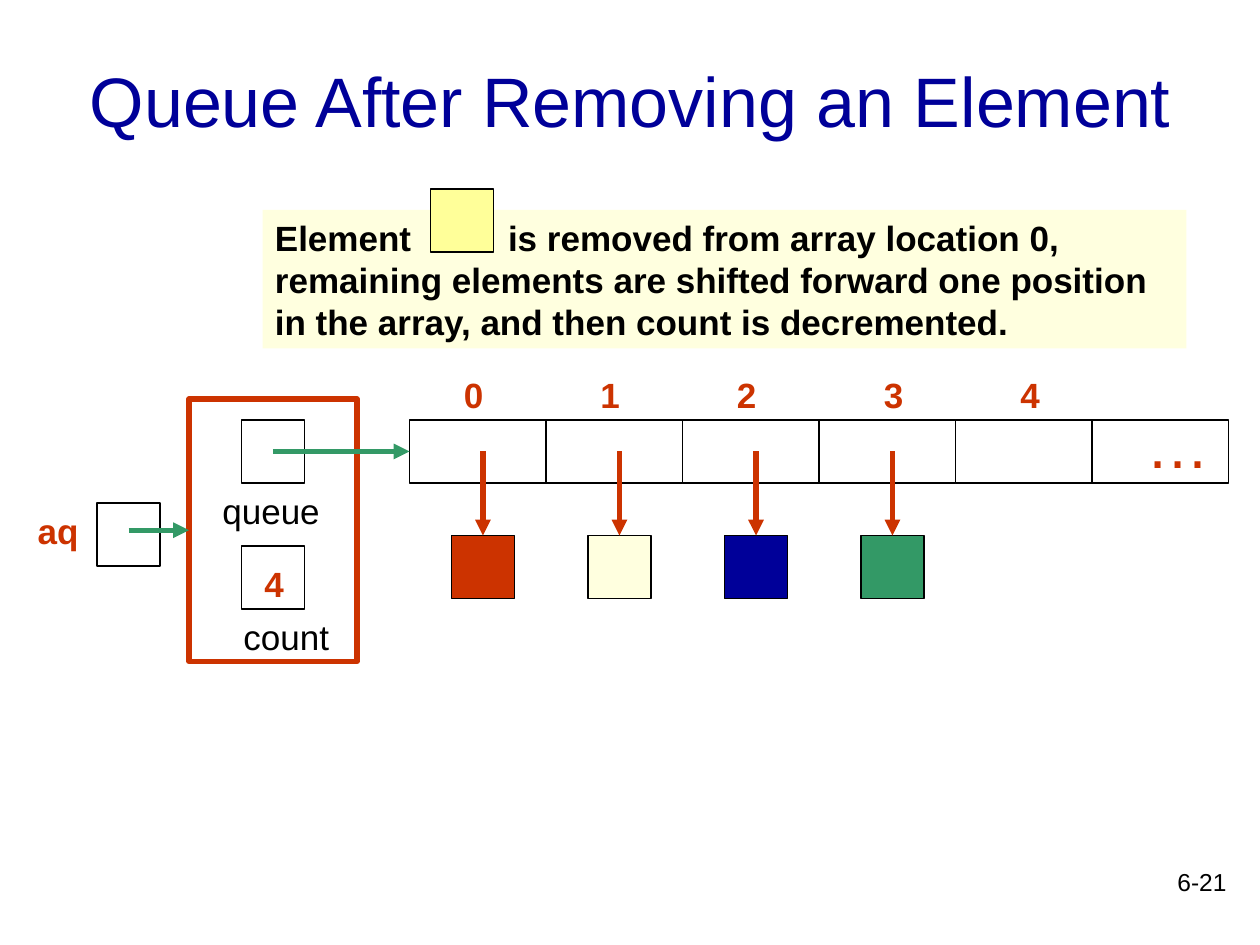
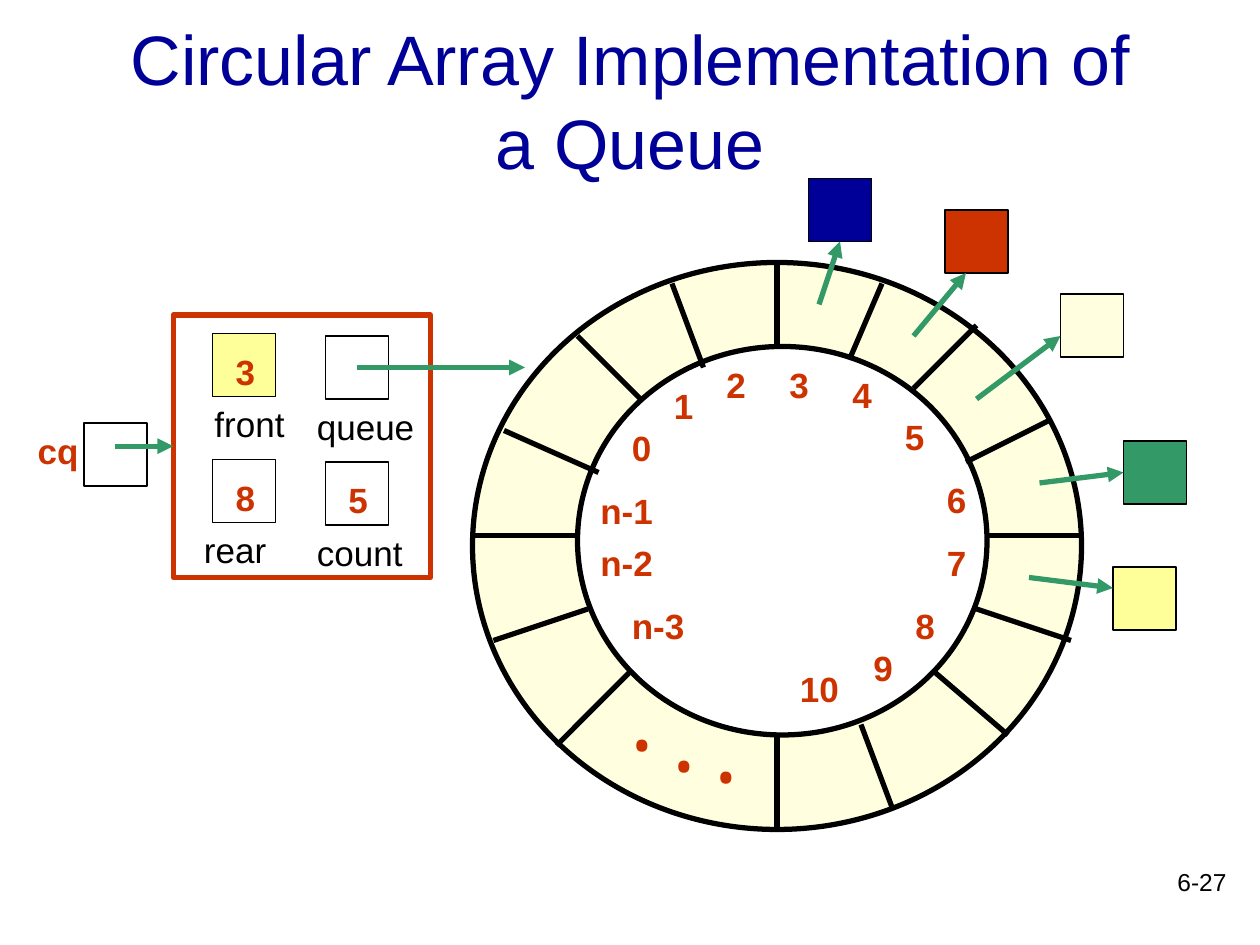
from pptx import Presentation
from pptx.dml.color import RGBColor
from pptx.enum.shapes import MSO_CONNECTOR, MSO_SHAPE
from pptx.enum.text import MSO_ANCHOR, PP_ALIGN
from pptx.oxml.ns import qn
from pptx.util import Emu, Inches, Pt
from lxml.etree import SubElement

BLACK = RGBColor(0x00, 0x00, 0x00)
WHITE = RGBColor(0xFF, 0xFF, 0xFF)
NAVY = RGBColor(0x00, 0x00, 0x99)
RED = RGBColor(0xCC, 0x33, 0x00)
GREEN = RGBColor(0x33, 0x99, 0x66)
CREAM = RGBColor(0xFF, 0xFF, 0xDF)
YELLOW = RGBColor(0xFF, 0xFF, 0x99)

WIDTH, HEIGHT = Inches(10), Inches(7.5)
COLUMNS, ROWS = 120, 90
SQUARE = 6
TOP, LEFT, BOTTOM = 0, 1, 2


def col(x):
    return Emu(round(WIDTH * x / COLUMNS))


def row(y):
    return Emu(round(HEIGHT * y / ROWS))


class Diagram:
    """Holds the shared style and the slide being drawn; lengths are grid cells."""

    font = "Arial"
    thin, thick = Pt(0.75), Pt(3)

    def __init__(self, deck):
        self.deck = deck
        self.slide = None

    def start(self, title, title_x, number):
        self.slide = self.deck.slides.add_slide(self.deck.slide_layouts[6])
        self.text(title, title_x, 2, COLUMNS - 2 * title_x, 15, 40, NAVY,
                  align=PP_ALIGN.CENTER, anchor=MSO_ANCHOR.MIDDLE)
        self.text(number, 93, 82, 25, 6, 14, align=PP_ALIGN.RIGHT)

    def fill_text(self, frame, text, size, color, bold=False, font=None,
                  align=PP_ALIGN.LEFT, anchor=MSO_ANCHOR.TOP):
        frame.word_wrap = True
        frame.vertical_anchor = anchor
        paragraph = frame.paragraphs[0]
        paragraph.alignment = align
        run = paragraph.add_run()
        run.text = text
        run.font.name = font or self.font
        run.font.size = Pt(size)
        run.font.bold = bold
        run.font.color.rgb = color
        return paragraph

    def text(self, text, x, y, w, h=5.2, size=20, color=BLACK, **style):
        box = self.slide.shapes.add_textbox(col(x), row(y), col(w), row(h))
        self.fill_text(box.text_frame, text, size, color, **style)

    def tag(self, text, x, y):
        """Bold red index, value or variable name."""
        self.text(text, x, y, 2.4 + 2.3 * len(text), color=RED, bold=True)

    def shape(self, x, y, w=SQUARE, h=SQUARE, fill=None, line=BLACK,
              weight=None, kind=MSO_SHAPE.RECTANGLE):
        shape = self.slide.shapes.add_shape(kind, col(x), row(y), col(w), row(h))
        shape.shadow.inherit = False
        if fill is None:
            shape.fill.background()
        else:
            shape.fill.solid()
            shape.fill.fore_color.rgb = fill
        if line is None:
            shape.line.fill.background()
        else:
            shape.line.color.rgb = line
            shape.line.width = weight or self.thin
        return shape

    def frame(self, x, y, w, h):
        return self.shape(x, y, w, h, line=RED, weight=self.thick)

    def ring_edge(self, x, y, w, h, fill):
        self.shape(x, y, w, h, fill, weight=self.thick, kind=MSO_SHAPE.OVAL)

    def note(self, text, x, y, w, h, tab):
        """Cream text block whose gap is a tab stop, measured in columns."""
        block = self.shape(x, y, w, h, CREAM, line=None)
        paragraph = self.fill_text(block.text_frame, text, 20, BLACK, bold=True)
        stops = SubElement(paragraph._p.get_or_add_pPr(), qn("a:tabLst"))
        SubElement(stops, qn("a:tab"), pos=str(col(tab)), algn="l")

    def field(self, name, x, y, name_x, value=None, fill=None):
        """Instance variable: a square, its name below and its value inside."""
        self.shape(x, y, fill=fill)
        self.text(name, name_x, y + SQUARE, 12)
        if value:
            self.tag(value, x + 1, y + 1)

    def line(self, x1, y1, x2, y2, color=BLACK):
        line = self.slide.shapes.add_connector(
            MSO_CONNECTOR.STRAIGHT, col(x1), row(y1), col(x2), row(y2))
        line.line.color.rgb = color
        line.line.width = self.thick
        SubElement(line.element.spPr, qn("a:effectLst"))
        return line

    def arrow(self, x1, y1, x2, y2, color=GREEN, target=None, side=LEFT):
        arrow = self.line(x1, y1, x2, y2, color)
        SubElement(arrow.element.spPr.find(qn("a:ln")), qn("a:tailEnd"), type="triangle")
        if target is not None:
            arrow.end_connect(target, side)

    def variable(self, name, x, y, frame, frame_x, frame_middle):
        """Reference variable whose arrow enters the object's frame."""
        self.tag(name, 2.4, y)
        self.shape(x, y)
        self.arrow(x + SQUARE / 2, frame_middle, frame_x, frame_middle, target=frame)


def draw_removal(d):
    d.start("Queue After Removing an Element", 4, "6-21")
    d.note("Element\tis removed from array location 0, remaining elements are "
           "shifted forward one position in the array, and then count is decremented.",
           25, 20, 88, 13.2, tab=22.2)
    d.shape(41, 18, fill=YELLOW)

    queue_object = d.frame(18, 38, 16, 25)
    d.field("queue", 23, 40, 20)
    d.field("count", 23, 52, 22, "4")
    d.variable("aq", 9.25, 47.9, queue_object, 18, 50.5)

    pitch = 13
    cells = [d.shape(39 + pitch * i, 40, pitch) for i in range(6)]
    d.arrow(26, 43, 39, 43, target=cells[0])
    for i, x in enumerate((43, 56, 69, 83, 96)):
        d.tag(str(i), x, 35)
    d.text("…", 108, 38, 8, 8.4, 36, RED)

    for i, color in enumerate((RED, CREAM, NAVY, GREEN)):
        x = 43 + pitch * i
        element = d.shape(x, 51, fill=color)
        d.arrow(x + 3, 43, x + 3, 51, RED, element, TOP)


def draw_circular_array(d):
    d.start("Circular Array Implementation of a Queue", 9, "6-27")
    d.ring_edge(45, 25, 58, 54, CREAM)
    d.ring_edge(55, 33, 39, 37, WHITE)
    dividers = (
        (74, 25, 74, 33), (84, 27, 81, 34), (93, 31, 87, 37), (100, 40, 92, 44),
        (103, 51, 94, 51), (102, 61, 93, 58), (96, 70, 89, 64), (85, 77, 82, 69),
        (74, 79, 74, 70), (53, 71, 60, 64), (47, 61, 56, 58), (45, 51, 55, 51),
        (48, 41, 57, 45), (55, 32, 61, 38), (64, 27, 67, 35))
    for divider in dividers:
        d.line(*divider)

    indices = {
        "0": (59, 40), "1": (63, 36), "2": (68, 34), "3": (74, 34), "4": (80, 35),
        "5": (85, 39), "6": (89, 45), "7": (89, 51), "8": (86, 57), "9": (82, 61),
        "10": (75, 63), "n-3": (59, 57), "n-2": (56, 51), "n-1": (56, 46)}
    for index, place in indices.items():
        d.tag(index, *place)
    for x, y in ((59, 61), (63, 63), (67, 64)):
        d.text(".", x, y, 4, 13.2, 60, RED, font="Cambria")

    queue_object = d.frame(16.5, 30, 24.5, 25)
    d.field("front", 20.25, 31.75, 19.25, "3", YELLOW)
    d.field("rear", 20.25, 43.75, 18.25, "8")
    d.field("queue", 31, 32, 29)
    d.field("count", 31, 44, 29, "5")
    d.arrow(34, 35, 50, 35)
    d.variable("cq", 8, 40.3, queue_object, 16.5, 42.5)

    # color, square's corner, arrow, side joined at its middle
    elements = (
        (NAVY, (77, 17), (78, 29, 80, 23), BOTTOM),
        (RED, (90, 20), (87, 32, 92, 26), None),
        (CREAM, (101, 28), (93, 38, 101, 32), None),
        (GREEN, (107, 42), (99, 46, 107, 45), LEFT),
        (YELLOW, (106, 54), (98, 55, 106, 56), None))
    for color, corner, arrow, side in elements:
        element = d.shape(*corner, fill=color)
        d.arrow(*arrow, target=None if side is None else element, side=side)


def main():
    deck = Presentation()
    deck.slide_width, deck.slide_height = WIDTH, HEIGHT
    diagram = Diagram(deck)
    draw_removal(diagram)
    draw_circular_array(diagram)
    deck.save("out.pptx")


if __name__ == "__main__":
    main()
